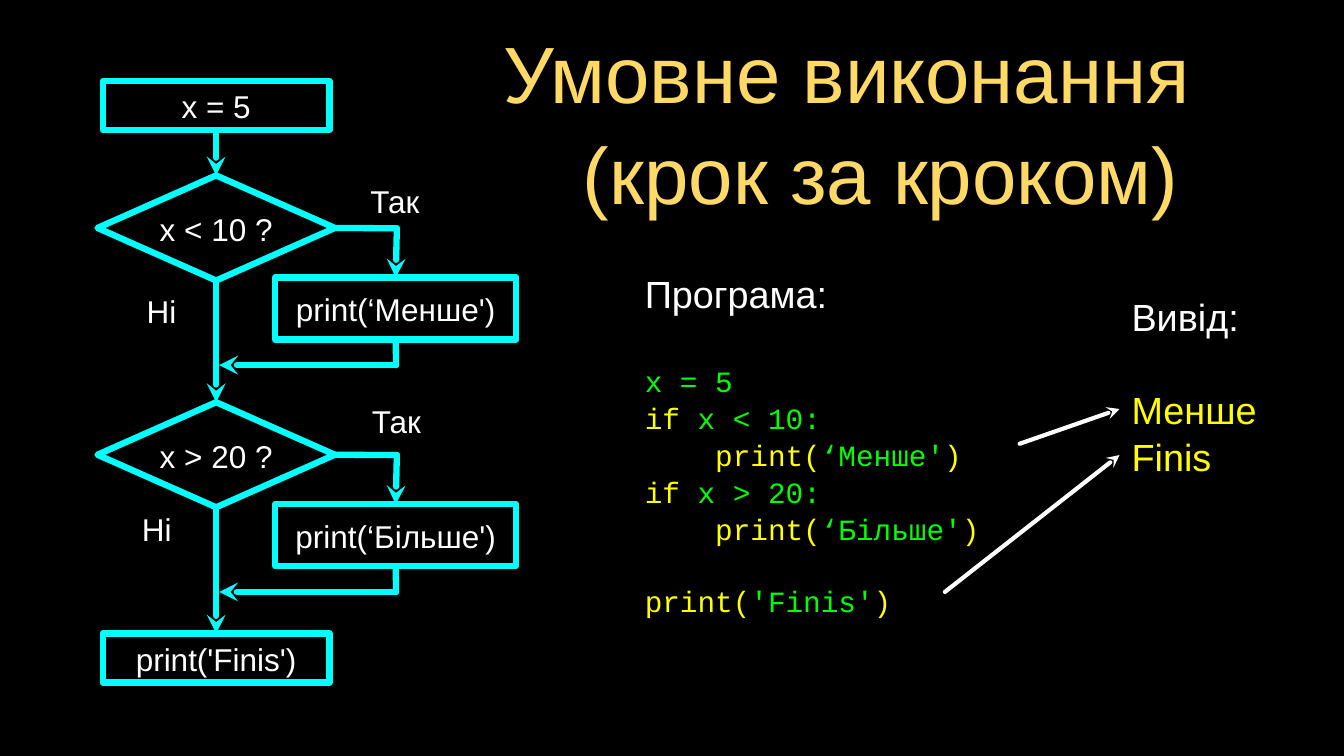
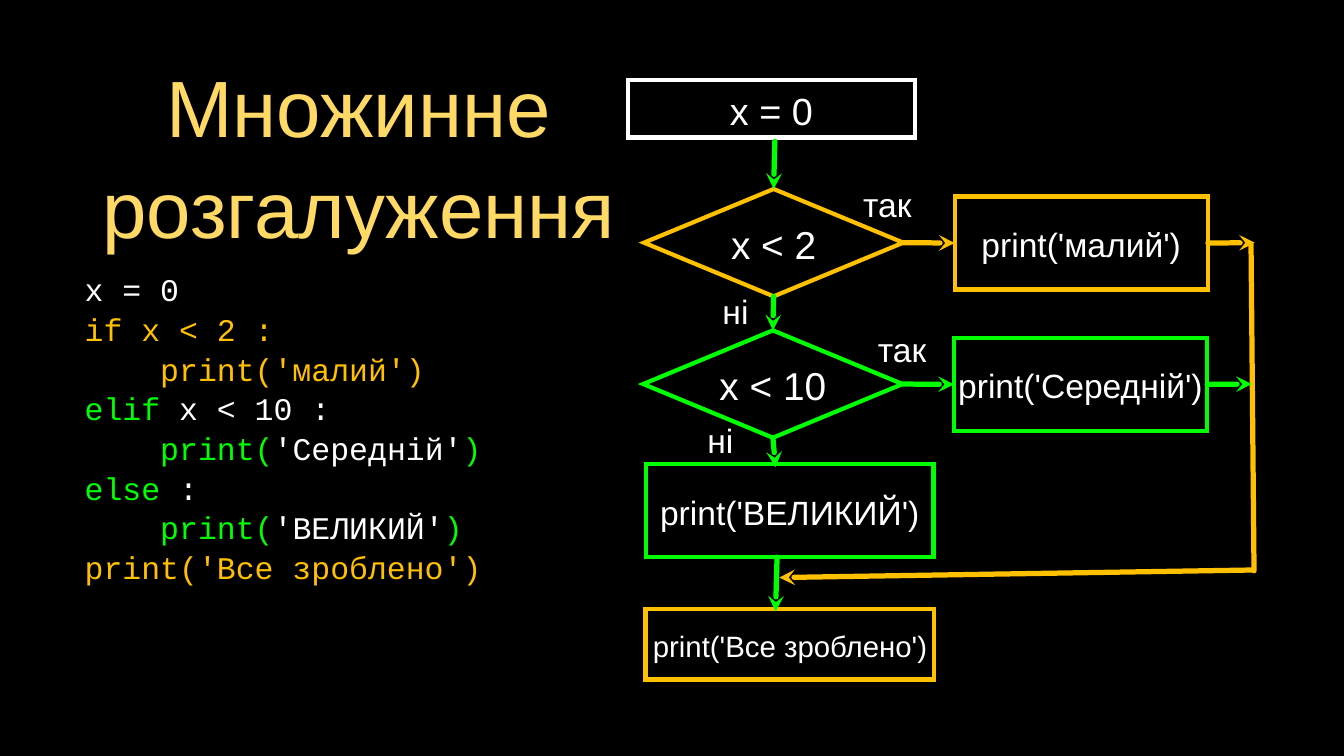
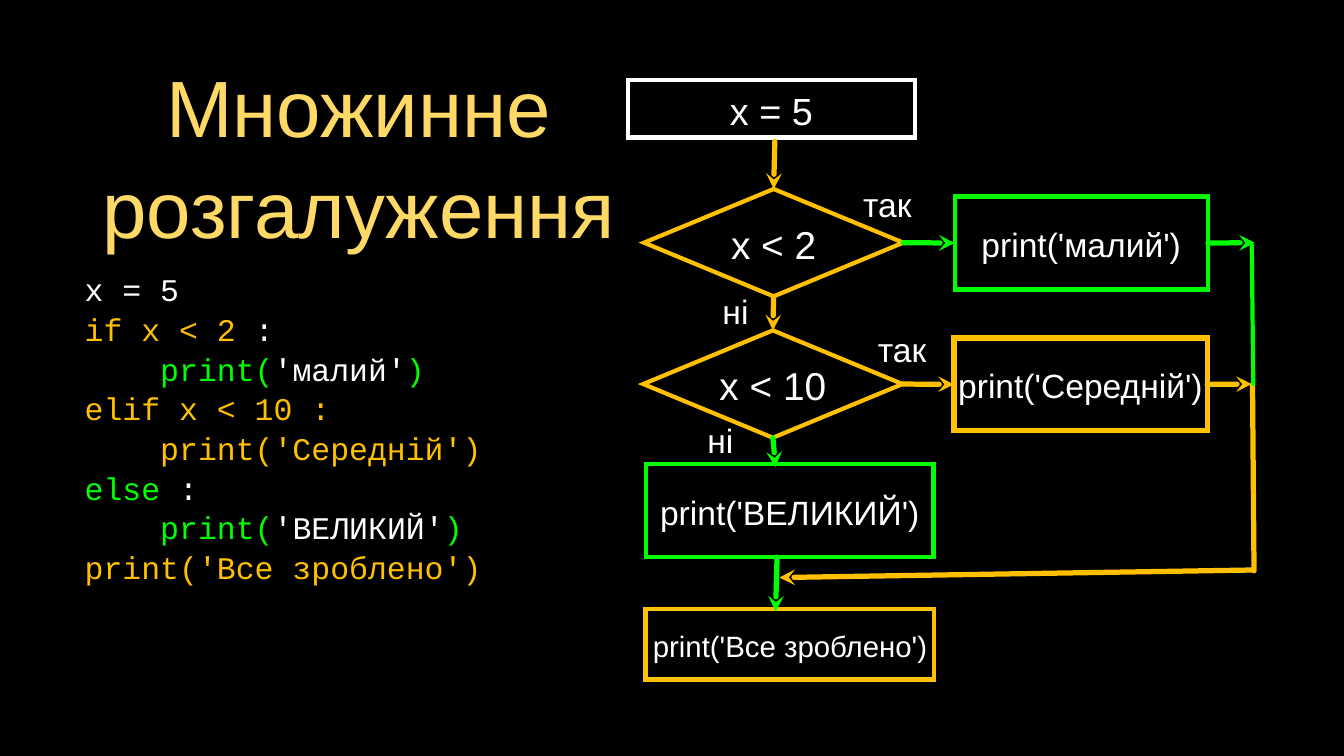
from dataclasses import dataclass
from typing import Optional

from lxml.etree import SubElement
from pptx import Presentation
from pptx.dml.color import RGBColor
from pptx.enum.shapes import MSO_CONNECTOR, MSO_SHAPE
from pptx.enum.text import MSO_ANCHOR, MSO_AUTO_SIZE, PP_ALIGN
from pptx.oxml.ns import qn
from pptx.util import Inches, Pt

BLACK, WHITE, GOLD = "000000", "FFFFFF", "FFD966"
CYAN, GREEN, YELLOW, AMBER = "00FFFF", "00FF00", "FFFF00", "FFC000"
SANS, MONO = "Arial", "Courier New"
LINE_SPACING = 1.05
TOP, LEFT, BOTTOM, RIGHT = range(4)
RECT, DIAMOND = MSO_SHAPE.RECTANGLE, MSO_SHAPE.DIAMOND


@dataclass
class Para:
    """A paragraph given as (text, colour) runs."""
    runs: list
    size: float
    font: str = SANS
    before: float = 0
    indent: float = 0
    align: PP_ALIGN = PP_ALIGN.LEFT


@dataclass
class Node:
    """A flowchart block."""
    text: str
    kind: MSO_SHAPE
    at: tuple
    size: float
    color: str
    weight: float
    join: str = "miter"


@dataclass
class Label:
    """A caption beside a branch."""
    text: str
    at: tuple
    size: float


@dataclass
class Branching:
    """What one multiple-choice slide changes."""
    start: str
    small: str
    medium: str
    medium_weight: float
    rail: list
    code: list


def rgb(value: str) -> RGBColor:
    """Turn a hex string into a colour."""
    return RGBColor.from_string(value)


def add_run(p, text: str, *, size: float, font: str, color: str) -> None:
    """Add one formatted run to a paragraph."""
    r = p.add_run()
    r.text = text
    r.font.size, r.font.name = Pt(size), font
    r.font.color.rgb = rgb(color)


def write(tf, paras: list[Para], inset: float = 0) -> None:
    """Fill a text frame with paragraphs, centred vertically."""
    tf.word_wrap, tf.auto_size = True, MSO_AUTO_SIZE.NONE
    tf.vertical_anchor = MSO_ANCHOR.MIDDLE
    tf.margin_left = tf.margin_right = Inches(inset)
    tf.margin_top = tf.margin_bottom = Inches(inset)
    for i, para in enumerate(paras):
        p = tf.add_paragraph() if i else tf.paragraphs[0]
        p.alignment, p.line_spacing = para.align, LINE_SPACING
        if para.before:
            p.space_before = Pt(para.before)
        if para.indent:
            p._p.get_or_add_pPr().set("marL", str(Inches(para.indent)))
        for text, color in para.runs:
            add_run(p, text, size=para.size, font=para.font, color=color)


def centred(text: str, size: float, color: str = WHITE, indent: float = 0) -> Para:
    """Make a centred one-run paragraph."""
    return Para([(text, color)], size, indent=indent, align=PP_ALIGN.CENTER)


def add_title(s, lines: list[Para], at: tuple) -> None:
    """Place and fill the title placeholder."""
    sp = s.shapes.title
    sp.left, sp.top, sp.width, sp.height = map(Inches, at)
    write(sp.text_frame, lines, inset=0.04)


def add_text(s, paras: list[Para], at: tuple) -> None:
    """Add a text box."""
    write(s.shapes.add_textbox(*map(Inches, at)).text_frame, paras)


def add_labels(s, labels: list[Label]) -> None:
    """Add the branch captions."""
    for label in labels:
        add_text(s, [centred(label.text, label.size)], label.at)


def add_node(s, node: Node):
    """Draw an outlined block with its text."""
    sp = s.shapes.add_shape(node.kind, *map(Inches, node.at))
    sp.shadow.inherit = False
    sp.fill.background()
    sp.line.color.rgb, sp.line.width = rgb(node.color), Pt(node.weight)
    SubElement(sp.line._get_or_add_ln(), qn(f"a:{node.join}"))
    write(sp.text_frame, [centred(node.text, node.size)])
    return sp


def locate(end: tuple) -> tuple:
    """Find the point of an (x, y) or (shape, side) end."""
    sp, side = end
    if not hasattr(sp, "left"):
        return Inches(sp), Inches(side)
    mid_x, mid_y = sp.left + sp.width // 2, sp.top + sp.height // 2
    return [(mid_x, sp.top), (sp.left, mid_y),
            (mid_x, sp.top + sp.height), (sp.left + sp.width, mid_y)][side]


def link(s, start: tuple, end: tuple, color: str, weight: float,
         arrow: bool = True) -> None:
    """Draw a line or arrow, joined to any shape at its ends."""
    line = s.shapes.add_connector(MSO_CONNECTOR.STRAIGHT, *locate(start), *locate(end))
    if hasattr(start[0], "left"):
        line.begin_connect(*start)
    if hasattr(end[0], "left"):
        line.end_connect(*end)
    line.line.color.rgb, line.line.width = rgb(color), Pt(weight)
    ln = line.line._get_or_add_ln()
    ln.set("cap", "rnd")
    SubElement(ln, qn("a:round"))
    if arrow:
        SubElement(ln, qn("a:tailEnd")).set("type", "stealth")
    SubElement(line._element.spPr, qn("a:effectLst"))


def call(name: str, paren: str, text: str, indent: str = "") -> list:
    """Give the runs of a print call on a text."""
    return [(f"{indent}print(", paren), (name, text), (")", paren)]


def add_step(s, top: float, test: str, action: str) -> tuple:
    """Draw one test with its side action and return the diamond."""
    diamond = add_node(s, Node(test, DIAMOND, (1.29, top, 3.14, 1.39), 30, CYAN, 6, "round"))
    box = add_node(s, Node(action, RECT, (3.64, top + 1.35, 3.19, 0.82), 30, CYAN, 6, "round"))
    turn, back = (5.25, top + 0.7), (5.24, top + 2.51)
    link(s, (diamond, RIGHT), turn, CYAN, 6, arrow=False)
    link(s, turn, (box, TOP), CYAN, 6)
    link(s, (box, BOTTOM), back, CYAN, 6, arrow=False)
    link(s, back, (2.9, top + 2.51), CYAN, 6)
    return diamond


def build_steps(s) -> None:
    """Build the step-by-step slide."""
    add_title(s, [centred("Умовне виконання", 76, GOLD),
                  centred("(крок за кроком)", 76, GOLD, indent=0.9)],
              (6.4, 0.84, 9.6, 1.49))
    add_text(s, [Para([("Вивід:", WHITE)], 36),
                 Para([("Менше", YELLOW)], 36, before=43),
                 Para([("Finis", YELLOW)], 36)], (14.97, 3.9, 1.73, 2.39))
    tab = "    "
    code = [[("x = 5", GREEN)],
            [("if ", YELLOW), ("x < 10:", GREEN)],
            call("‘Менше'", YELLOW, GREEN, tab),
            [("if ", YELLOW), ("x > 20:", GREEN)],
            call("‘Більше'", YELLOW, GREEN, tab),
            call("'Finis'", YELLOW, GREEN)]
    gaps = {0: 43, 5: 33}
    add_text(s, [Para([("Програма:", WHITE)], 36)]
             + [Para(runs, 28, MONO, gaps.get(i, 0)) for i, runs in enumerate(code)],
             (8.53, 3.14, 4.96, 5.45))

    first, last = [add_node(s, Node(text, RECT, (1.36, top, 3, 0.65), 30, CYAN, 6, "round"))
                   for text, top in (("x = 5", 1.07), ("print('Finis')", 8.38))]
    less = add_step(s, 2.32, "x < 10 ?", "print(‘Менше')")
    more = add_step(s, 5.32, "x > 20 ?", "print(‘Більше')")
    for upper, lower in ((first, less), (less, more), (more, last)):
        link(s, (upper, BOTTOM), (lower, TOP), CYAN, 6)
    link(s, (13.49, 5.87), (14.81, 5.41), WHITE, 4)
    link(s, (12.5, 7.83), (14.81, 6.02), WHITE, 4)
    add_labels(s, [Label("Так", (4.83, 2.31, 0.79, 0.68), 30),
                   Label("Ні", (1.68, 6.69, 0.79, 0.58), 30),
                   Label("Так", (4.85, 5.21, 0.79, 0.68), 30),
                   Label("Ні", (1.74, 3.71, 0.79, 0.77), 30)])


def build_branching(s, b: Branching) -> None:
    """Build one multiple-choice slide."""
    add_title(s, [centred("Множинне розгалуження", 76, GOLD)], (1.26, 0.82, 6.97, 2.42))
    add_text(s, [Para(runs, 30, MONO) for runs in b.code], (1.12, 3.21, 5.58, 4.88))

    start, test_2, test_10, small, medium, large, done = [add_node(s, node) for node in (
        Node(b.start, RECT, (8.31, 1.06, 3.79, 0.76), 36, WHITE, 4),
        Node("x < 2", DIAMOND, (8.52, 2.5, 3.43, 1.42), 37, AMBER, 4),
        Node("x < 10", DIAMOND, (8.51, 4.37, 3.43, 1.42), 37, b.medium, 4),
        Node("print('малий')", RECT, (12.63, 2.6, 3.35, 1.23), 32, b.small, 4),
        Node("print('Середній')", RECT, (12.62, 4.47, 3.35, 1.23), 32, b.medium,
             b.medium_weight),
        Node("print('ВЕЛИКИЙ')", RECT, (8.55, 6.14, 3.8, 1.23), 32, GREEN, 4),
        Node("print('Все зроблено')", RECT, (8.54, 8.06, 3.82, 0.93), 28, AMBER, 4))]

    for top, bottom, color, weight in b.rail:
        link(s, top, bottom, color, weight, arrow=False)
    for begin, end, color in (
            ((10.25, 1.87), (test_2, TOP), b.medium),
            ((test_2, BOTTOM), (test_10, TOP), b.medium),
            ((test_10, BOTTOM), (10.26, 6.18), GREEN),
            ((10.28, 7.37), (10.26, 8.09), GREEN),
            ((test_2, RIGHT), (small, LEFT), b.small),
            ((small, RIGHT), (16.6, 3.21), b.small),
            ((test_10, RIGHT), (medium, LEFT), b.medium),
            ((medium, RIGHT), (16.56, 5.08), b.medium),
            ((16.57, 7.54), (10.31, 7.64), AMBER)):
        link(s, begin, end, color, 5)
    add_labels(s, [Label("так", (11.36, 2.41, 0.76, 0.54), 32),
                   Label("ні", (9.47, 3.83, 0.52, 0.54), 32),
                   Label("так", (11.51, 4.34, 0.85, 0.54), 32),
                   Label("ні", (9.27, 5.54, 0.52, 0.54), 32)])


def branching_slides() -> list[Branching]:
    """Describe the two multiple-choice slides."""
    tab = "    "
    ending = [[("else", GREEN), (" :", WHITE)],
              call("'ВЕЛИКИЙ'", GREEN, WHITE, tab),
              [("print('Все зроблено')", AMBER)]]
    zero = [[("x = 0", WHITE)],
            [("if x < 2 :", AMBER)],
            [(f"{tab}print('малий')", AMBER)],
            [("elif", GREEN), (" x < 10 :", WHITE)],
            call("'Середній'", GREEN, WHITE, tab)]
    five = [[("x = 5", WHITE)],
            [("if x < 2 ", AMBER), (":", WHITE)],
            call("'малий'", GREEN, WHITE, tab),
            [("elif x < 10 :", AMBER)],
            [(f"{tab}print('Середній')", AMBER)]]
    return [Branching("x = 0", AMBER, GREEN, 4,
                      [((16.55, 3.23), (16.59, 7.55), AMBER, 5)], zero + ending),
            Branching("x = 5", GREEN, AMBER, 5,
                      [((16.57, 5.09), (16.59, 7.55), AMBER, 5),
                       ((16.56, 3.24), (16.58, 5.08), GREEN, 4)], five + ending)]


def main() -> None:
    """Build and save the presentation."""
    prs = Presentation()
    prs.slide_width, prs.slide_height = Inches(17.78), Inches(10)
    fill = prs.slide_master.background.fill
    fill.solid()
    fill.fore_color.rgb = rgb(BLACK)
    layout = prs.slide_layouts.get_by_name("Title Only")
    build_steps(prs.slides.add_slide(layout))
    for branching in branching_slides():
        build_branching(prs.slides.add_slide(layout), branching)
    prs.save("out.pptx")


if __name__ == "__main__":
    main()
